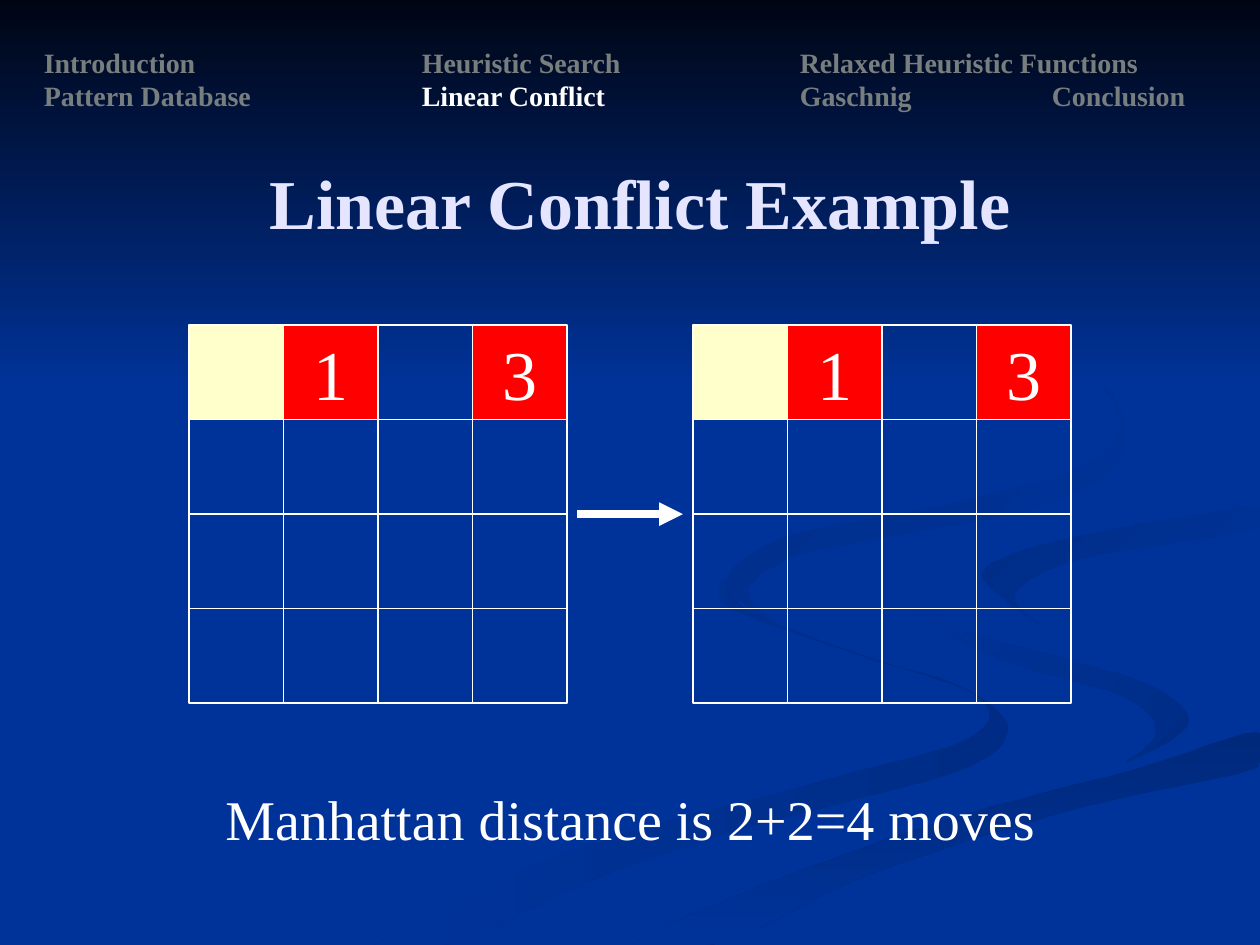
from lxml import etree
from pptx import Presentation
from pptx.dml.color import RGBColor
from pptx.enum.shapes import MSO_CONNECTOR, MSO_SHAPE
from pptx.enum.text import MSO_ANCHOR, PP_ALIGN
from pptx.oxml.ns import qn
from pptx.util import Inches, Pt

FONT = "Times New Roman"
BLUE = RGBColor(0x00, 0x33, 0x99)
SHADE = RGBColor(0x00, 0x2C, 0x86)
DEEP = RGBColor(0x00, 0x29, 0x7C)
NIGHT = RGBColor(0x00, 0x05, 0x14)
WHITE = RGBColor(0xFF, 0xFF, 0xFF)
CREAM = RGBColor(0xFF, 0xFF, 0xCC)
RED = RGBColor(0xFF, 0x00, 0x00)
GRAY = RGBColor(0x78, 0x7E, 0x7E)
LAVENDER = RGBColor(0xE5, 0xE5, 0xFF)

# Content
SECTIONS = [
    ["Introduction", "Heuristic Search", "Relaxed Heuristic Functions"],
    ["Pattern Database", "Linear Conflict", "Gaschnig", "Conclusion"],
]
CURRENT = "Linear Conflict"
SECTION_TABS = [3, 6, 8]
TITLE = "Linear Conflict Example"
CAPTION = "Manhattan distance is 2+2=4 moves"

# Boards: left edges, and the filled cells as (row, column): (colour, label)
BOARD_LEFTS = [1.5, 5.5]
BOARD_TOP, CELL, SIZE = 2.58, 0.75, 4
TILES = {(0, 0): (CREAM, ""), (0, 1): (RED, "1"), (0, 3): (RED, "3")}

# Background ribbons: start colour, end colour, clockwise angle, and a few
# outline points in inches that a smooth curve runs through
RIBBONS = [
    (SHADE, BLUE, 180, [
        (5.75, 4.6), (5.94, 4.85), (6.82, 5.19), (7.67, 5.47), (8, 5.81),
        (7.56, 6.14), (5.94, 6.56), (4.66, 7), (3.61, 7.49), (3, 7.49),
        (4.58, 6.74), (6.52, 6.2), (7.67, 5.87), (7.76, 5.53), (6.79, 5.19),
        (5.81, 4.83)]),
    (SHADE, BLUE, 225, [
        (7.24, 4.64), (7.58, 4.98), (8.5, 5.24), (9.19, 5.47), (9.43, 5.76),
        (8.94, 6.05), (9.18, 5.81), (8.92, 5.53), (7.97, 5.24), (7.33, 4.88)]),
    (DEEP, BLUE, 90, [
        (5.03, 7.49), (5.71, 7.49), (6.95, 6.92), (8.61, 6.4), (9.98, 6.09),
        (9.98, 5.81), (9.03, 6.1), (7.64, 6.47), (6.3, 6.93)]),
    (BLUE, SHADE, 225, [
        (7.81, 4.6), (8.26, 4.96), (8.05, 4.72), (8.59, 4.43), (9.98, 4.2),
        (9.98, 4.02), (8.65, 4.24), (7.99, 4.42)]),
    (BLUE, SHADE, 225, [
        (6.83, 4.3), (8.07, 4.07), (8.76, 3.78), (8.93, 3.35), (8.54, 2.83),
        (7.62, 2.33), (8.46, 2.79), (8.89, 3.35), (8.52, 3.74), (7.33, 4.04),
        (6.25, 4.26), (5.77, 4.62), (6.22, 5), (5.93, 4.7), (6.24, 4.44)]),
]
STEPS = 6


def smooth(points):
    """Closed Catmull-Rom curve through the points, kept on the slide."""
    n, curve = len(points), []
    for i in range(n):
        corners = [points[(i + k) % n] for k in (-1, 0, 1, 2)]
        for step in range(STEPS):
            t = step / STEPS
            x, y = [(2 * b + (c - a) * t + (2 * a - 5 * b + 4 * c - d) * t**2
                     + (3 * b - a - 3 * c + d) * t**3) / 2
                    for a, b, c, d in zip(*corners)]
            curve.append((min(x, 10) * 100, min(y, 7.5) * 100))
    return curve


def fill_gradient(sp, start, end, angle):
    sp.shadow.inherit = False
    sp.line.fill.background()
    sp.fill.gradient()
    sp.fill.gradient_angle = 360 - angle
    for stop, color in zip(sp.fill.gradient_stops, (start, end)):
        stop.color.rgb = color


def style(p, size, color, bold=False, align=PP_ALIGN.CENTER):
    p.alignment = align
    p.font.name, p.font.size, p.font.bold = FONT, Pt(size), bold
    p.font.color.rgb = color


def add_cell(s, left, top, color=None, label=""):
    sp = s.shapes.add_shape(MSO_SHAPE.RECTANGLE, Inches(left), Inches(top),
                            Inches(CELL), Inches(CELL))
    sp.shadow.inherit = False
    sp.line.color.rgb, sp.line.width = WHITE, Pt(0.75)
    if color is None:
        sp.fill.background()
    else:
        sp.fill.solid()
        sp.fill.fore_color.rgb = color
    if label:
        tf = sp.text_frame
        tf.word_wrap, tf.vertical_anchor = False, MSO_ANCHOR.MIDDLE
        tf.text = label
        style(tf.paragraphs[0], 40, WHITE)


def add_text_box(s, left, top, width, height):
    tf = s.shapes.add_textbox(Inches(left), Inches(top),
                              Inches(width), Inches(height)).text_frame
    tf.word_wrap, tf.vertical_anchor = True, MSO_ANCHOR.MIDDLE
    return tf.paragraphs[0]


prs = Presentation()
prs.slide_width, prs.slide_height = Inches(10), Inches(7.5)
s = prs.slides.add_slide(prs.slide_layouts[6])

# Background: ribbons, then the night sky at the top
s.background.fill.solid()
s.background.fill.fore_color.rgb = BLUE
for start, end, angle, points in RIBBONS:
    curve = smooth(points)
    builder = s.shapes.build_freeform(*curve[0], scale=Inches(0.01))
    builder.add_line_segments(curve[1:], close=True)
    fill_gradient(builder.convert_to_shape(), start, end, angle)
sky = s.shapes.add_shape(MSO_SHAPE.RECTANGLE, 0, 0, prs.slide_width, Inches(3.08))
fill_gradient(sky, NIGHT, BLUE, 90)

# Boards
for left in BOARD_LEFTS:
    for row in range(SIZE):
        for col in range(SIZE):
            add_cell(s, left + col * CELL, BOARD_TOP + row * CELL,
                     *TILES.get((row, col), ()))

# Arrow between the boards
middle = Inches(BOARD_TOP + SIZE * CELL / 2)
arrow = s.shapes.add_connector(MSO_CONNECTOR.STRAIGHT, Inches(4.58), middle,
                               Inches(5.42), middle)
arrow.line.color.rgb, arrow.line.width = WHITE, Pt(4.5)
sp_pr = arrow._element.spPr
etree.SubElement(sp_pr.find(qn("a:ln")), qn("a:tailEnd"), type="triangle")
etree.SubElement(sp_pr, qn("a:effectLst"))

# Section overview, with the current section highlighted
p = add_text_box(s, 0.25, 0.25, 9.5, 0.75)
tabs = etree.SubElement(p._p.get_or_add_pPr(), qn("a:tabLst"))
for pos in SECTION_TABS:
    etree.SubElement(tabs, qn("a:tab"), pos=str(Inches(pos)), algn="l")
style(p, 16, GRAY, bold=True, align=PP_ALIGN.LEFT)
for i, names in enumerate(SECTIONS):
    if i:
        p.add_line_break()
    for j, name in enumerate(names):
        r = p.add_run()
        r.text = "\t" + name if j else name
        r.font.color.rgb = WHITE if name == CURRENT else GRAY

# Caption and title
for text, box, size, color, bold in [
    (CAPTION, (1.42, 6.17, 7.17, 0.64), 32, WHITE, False),
    (TITLE, (0.58, 1.25, 9, 0.7), 40, LAVENDER, True),
]:
    p = add_text_box(s, *box)
    p.text = text
    style(p, size, color, bold)

prs.save("out.pptx")
